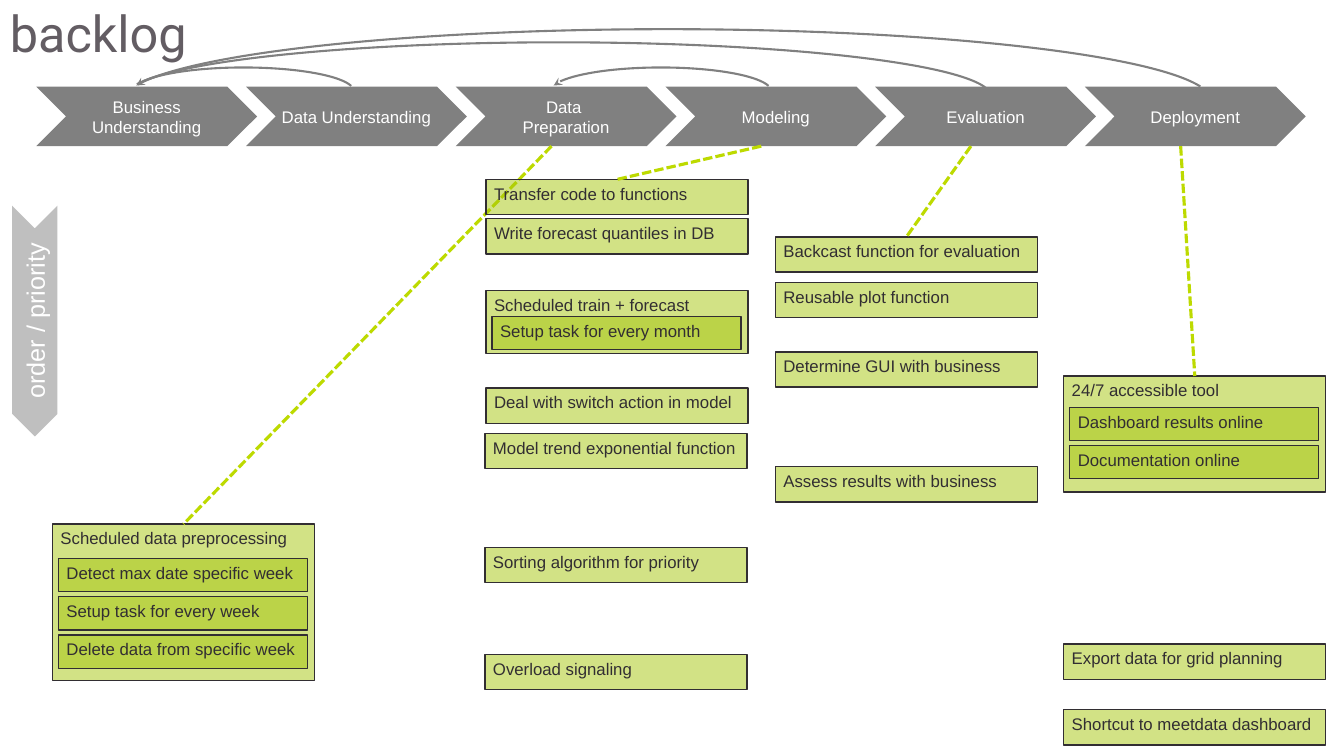
from dataclasses import dataclass

from lxml import etree
from pptx import Presentation
from pptx.dml.color import RGBColor
from pptx.enum.dml import MSO_LINE
from pptx.enum.shapes import MSO_CONNECTOR, MSO_SHAPE
from pptx.enum.text import MSO_ANCHOR, PP_ALIGN
from pptx.oxml.ns import qn
from pptx.util import Pt

PX = 9144  # EMU per px, 100 px to the inch

GRAY = RGBColor(0x80, 0x80, 0x80)
WHITE = RGBColor(0xFF, 0xFF, 0xFF)
PLUM = RGBColor(0x63, 0x5D, 0x63)
INK = RGBColor(0x32, 0x2E, 0x32)
GREEN = RGBColor(0xA6, 0xC6, 0x0D)
LIME = RGBColor(0xBD, 0xDA, 0x00)

RECT, CHEVRON, ARC = MSO_SHAPE.RECTANGLE, MSO_SHAPE.CHEVRON, MSO_SHAPE.ARC
STRAIGHT = MSO_CONNECTOR.STRAIGHT
DASH = MSO_LINE.SQUARE_DOT
TOP, MIDDLE = MSO_ANCHOR.TOP, MSO_ANCHOR.MIDDLE
LEFT, CENTER = PP_ALIGN.LEFT, PP_ALIGN.CENTER

STAGES = ["Business Understanding", "Data Understanding", "Data \vPreparation",
          "Modeling", "Evaluation", "Deployment"]
STAGE_X, STAGE_Y, STAGE_W, STAGE_H, STAGE_STEP = 36, 86, 219, 59, 208
LINK_DX = 95  # where a dashed link leaves the lower edge of a stage
CARD_W, CARD_H = 260, 35
TASK_DX, TASK_W, TASK_H, TASK_STEP = 6, 247, 33, 38


@dataclass
class Loop:
    x: int
    y: int
    w: int
    h: int
    start: float
    end: float
    arrow: bool = False


@dataclass
class Card:
    x: int
    y: int
    text: str
    h: int = CARD_H
    stage: int | None = None
    task_dy: int = 0
    tasks: tuple[str, ...] = ()


LOOPS = [
    Loop(125, 42, 858, 107, 108.98, 215.38),
    Loop(122, 29, 1080, 143, 109.09, 215.05),
    Loop(546, 67, 219, 47, 109.81, 214.33, arrow=True),
    Loop(132, 67, 219, 47, 109.81, 214.33, arrow=True),
]

CARDS = [
    Card(52, 520, "Scheduled data preprocessing", 155, 2, 34,
         ("Detect max date specific week", "Setup task for every week",
          "Delete data from specific week")),
    Card(481, 430, "Model trend exponential function"),
    Card(482, 385, "Deal with switch action in model"),
    Card(482, 178, "Transfer code to functions", stage=3),
    Card(482, 217, "Write forecast quantiles in DB"),
    Card(769, 463, "Assess results with business"),
    Card(769, 349, "Determine GUI with business"),
    Card(769, 280, "Reusable plot function"),
    Card(769, 235, "Backcast function for evaluation", stage=4),
    Card(1055, 639, "Export data for grid planning"),
    Card(1055, 704, "Shortcut to meetdata dashboard"),
    Card(482, 288, "Scheduled train + forecast", 63, None, 26,
         ("Setup task for every month",)),
    Card(1055, 373, "24/7 accessible tool", 115, 5, 31,
         ("Dashboard results online", "Documentation online")),
    Card(481, 543, "Sorting algorithm for priority"),
    Card(481, 649, "Overload signaling"),
]


def write(sp, text: str, *, size: float = 12, font: str = "Arial", color=INK,
          align=LEFT, anchor=TOP, inset: tuple[int, int] = (8, 4),
          spacing: float = 1.0) -> None:
    tf = sp.text_frame
    tf.word_wrap = True
    tf.vertical_anchor = anchor
    tf.margin_left = tf.margin_right = inset[0] * PX
    tf.margin_top = tf.margin_bottom = inset[1] * PX
    p = tf.paragraphs[0]
    p.text = text
    p.alignment = align
    p.line_spacing = spacing
    for r in p.runs:
        r.font.size = Pt(size)
        r.font.name = font
        r.font.color.rgb = color


def add_shape(s, kind, x: int, y: int, w: int, h: int, *, fill=None,
              alpha: int = 100, line=None, line_pt: float = 1):
    sp = s.shapes.add_shape(kind, x * PX, y * PX, w * PX, h * PX)
    sp.shadow.inherit = False
    if fill is None:
        sp.fill.background()
    else:
        sp.fill.solid()
        sp.fill.fore_color.rgb = fill
    if alpha < 100:
        clr = sp.fill._xPr.find(qn("a:solidFill"))[0]
        etree.SubElement(clr, qn("a:alpha")).set("val", str(alpha * 1000))
    if line is None:
        sp.line.fill.background()
    else:
        sp.line.color.rgb = line
        sp.line.width = Pt(line_pt)
    return sp


def add_loop(s, loop: Loop) -> None:
    sp = add_shape(s, ARC, loop.x, loop.y, loop.w, loop.h, line=GRAY, line_pt=1.5)
    sp.adjustments[0] = loop.start
    sp.adjustments[1] = loop.end
    if loop.arrow:
        ln = sp.line._get_or_add_ln()
        etree.SubElement(ln, qn("a:headEnd")).set("type", "stealth")


def add_box(s, x: int, y: int, w: int, h: int, text: str):
    sp = add_shape(s, RECT, x, y, w, h, fill=GREEN, alpha=50, line=INK)
    write(sp, text)
    return sp


def add_link(s, stage: int, box) -> None:
    x = (STAGE_X + stage * STAGE_STEP + LINK_DX) * PX
    y = (STAGE_Y + STAGE_H) * PX
    link = s.shapes.add_connector(STRAIGHT, x, y, box.left + box.width // 2, box.top)
    link.end_connect(box, 0)
    link.line.color.rgb = LIME
    link.line.width = Pt(2.25)
    link.line.dash_style = DASH
    etree.SubElement(link._element.spPr, qn("a:effectLst"))


def add_card(s, card: Card) -> None:
    box = add_box(s, card.x, card.y, CARD_W, card.h, card.text)
    for i, task in enumerate(card.tasks):
        add_box(s, card.x + TASK_DX, card.y + card.task_dy + i * TASK_STEP,
                TASK_W, TASK_H, task)
    if card.stage is not None:
        add_link(s, card.stage, box)


def main() -> None:
    prs = Presentation()
    prs.slide_width, prs.slide_height = 1333 * PX, 750 * PX
    s = prs.slides.add_slide(prs.slide_layouts[6])

    # Process stages and the loops back to earlier ones
    for i, stage in enumerate(STAGES):
        sp = add_shape(s, CHEVRON, STAGE_X + i * STAGE_STEP, STAGE_Y,
                       STAGE_W, STAGE_H, fill=GRAY)
        write(sp, stage, color=WHITE, align=CENTER, anchor=MIDDLE, inset=(0, 0))
    for loop in LOOPS:
        add_loop(s, loop)

    # Title
    title = s.shapes.add_textbox(0, 4 * PX, 1182 * PX, 95 * PX)
    write(title, "backlog", size=36, font="Roboto", color=PLUM,
          inset=(10, 5), spacing=0.9)

    # Backlog cards with their tasks and links
    for card in CARDS:
        add_card(s, card)

    # Priority arrow, pointing down with text reading upwards
    sp = add_shape(s, CHEVRON, -80, 296, 229, 45, fill=GRAY, alpha=50)
    sp.rotation = 90
    sp._element.spPr.xfrm.set("flipV", "1")
    write(sp, "order / priority", size=18, color=WHITE, align=CENTER,
          anchor=MIDDLE, inset=(10, 5))

    prs.save("out.pptx")


if __name__ == "__main__":
    main()
